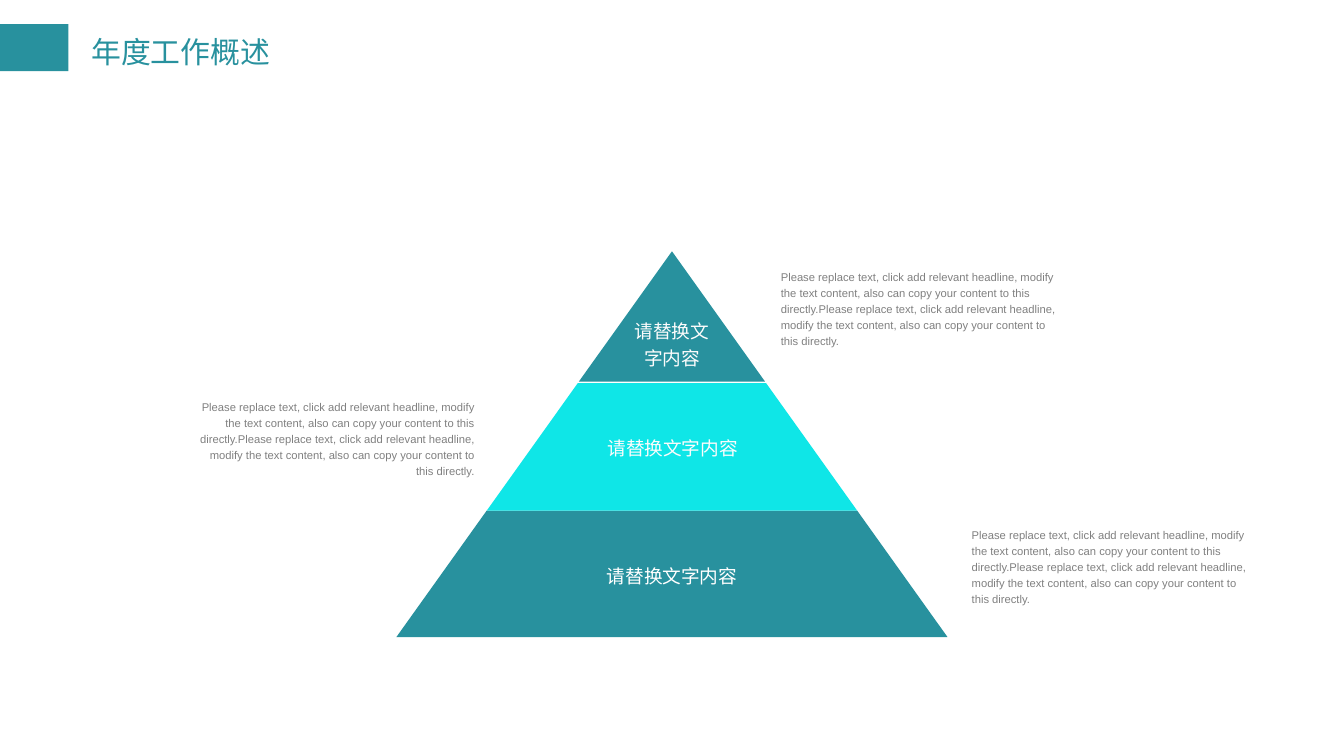
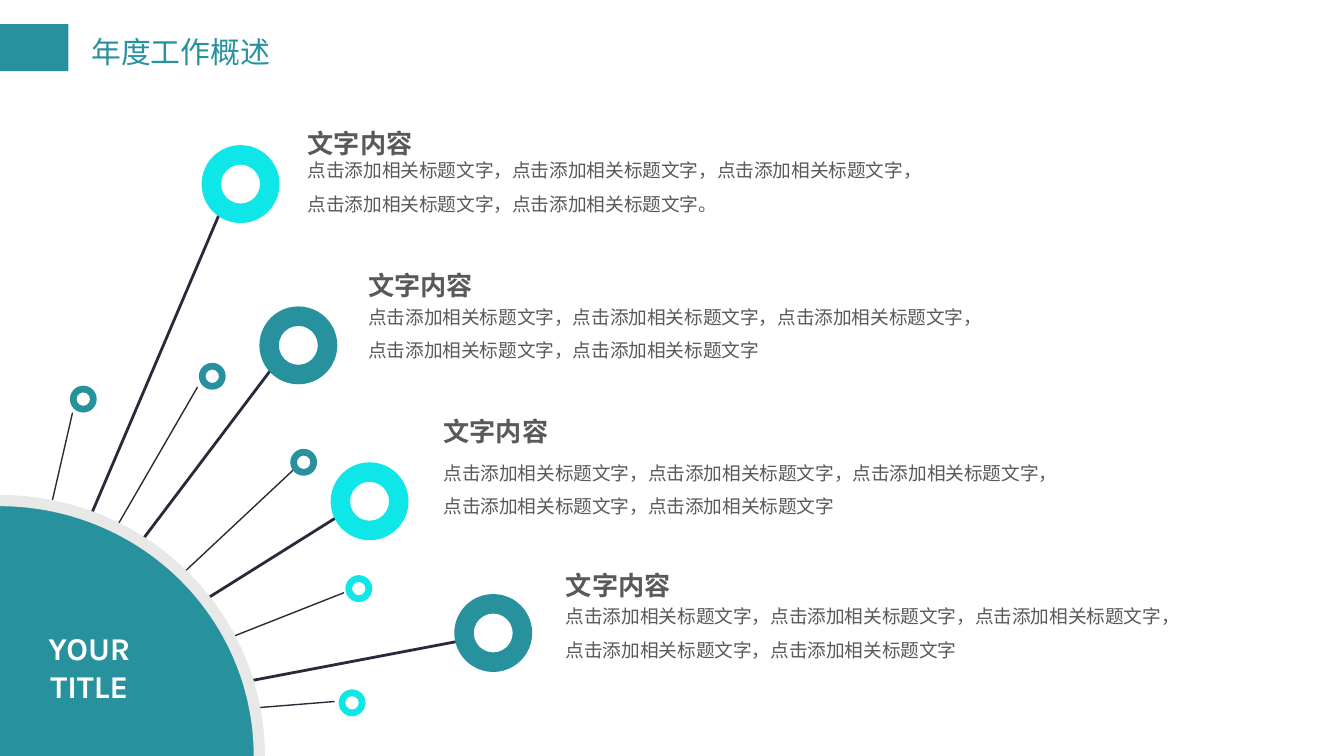
import math

from lxml import etree
from pptx import Presentation
from pptx.dml import color
from pptx.enum import shapes, text
from pptx.oxml import ns
from pptx.util import Inches, Pt

TEAL, CYAN, WHITE = "28919E", "0FE6E7", "FFFFFF"
INK, RIM, GREY, DARK, PALE = "2B2939", "E8E8E6", "808080", "595959", "FCFCFC"
CJK = "Noto Sans CJK SC"
LEFT, CENTER, RIGHT = text.PP_ALIGN.LEFT, text.PP_ALIGN.CENTER, text.PP_ALIGN.RIGHT
TOP, MIDDLE = text.MSO_ANCHOR.TOP, text.MSO_ANCHOR.MIDDLE
PRESET = shapes.MSO_SHAPE

WIDTH = 10
HEIGHT = WIDTH * 9 / 16
SLIDE_TITLE = "年度工作概述"
ENGLISH_NOTE = ("Please replace text, click add relevant headline, modify the text content, "
                "also can copy your content to this directly.") * 2
TIER_LABEL = "请替换文字内容"
TOPIC_HEADING = "文字内容"
TOPIC_DETAIL = "，".join(["点击添加相关标题文字"] * 5)


def rgb(value):
    return color.RGBColor.from_string(value)


def inches(*lengths):
    return [Inches(length) for length in lengths]


def write(frame, content, *, size, ink, font="Arial", bold=False, align=LEFT,
          anchor=TOP, spacing=None, insets=(0, 0), wrap=True):
    frame.word_wrap = wrap
    frame.auto_size = text.MSO_AUTO_SIZE.NONE
    frame.vertical_anchor = anchor
    frame.margin_left = frame.margin_right = Inches(insets[0])
    frame.margin_top = frame.margin_bottom = Inches(insets[1])
    paragraph = frame.paragraphs[0]
    paragraph.alignment = align
    if spacing:
        paragraph.line_spacing = spacing
    run = paragraph.add_run()
    run.text = content
    run.font.size = Pt(size)
    run.font.bold = bold
    run.font.color.rgb = rgb(ink)
    run.font.name = font
    east_asian = etree.SubElement(run._r.get_or_add_rPr(), ns.qn("a:ea"))
    east_asian.set("typeface", CJK)


def add_text(slide, box, content, **style):
    write(slide.shapes.add_textbox(*inches(*box)).text_frame, content, **style)


def paint(shape, fill=None, line=None, weight=1):
    shape.shadow.inherit = False
    if fill:
        shape.fill.solid()
        shape.fill.fore_color.rgb = rgb(fill)
    else:
        shape.fill.background()
    if line:
        shape.line.color.rgb = rgb(line)
        shape.line.width = Pt(weight)
    else:
        shape.line.fill.background()


def add_preset(slide, preset, box, fill, adjustment=None):
    shape = slide.shapes.add_shape(preset, *inches(*box))
    if adjustment is not None:
        shape.adjustments[0] = adjustment
    paint(shape, fill)


def add_outline(slide, points, closed, **look):
    start, *rest = [inches(*point) for point in points]
    builder = slide.shapes.build_freeform(*start)
    builder.add_line_segments(rest, close=closed)
    paint(builder.convert_to_shape(), **look)


def add_spoke(slide, start, end, weight):
    spoke = slide.shapes.add_connector(
        shapes.MSO_CONNECTOR.STRAIGHT, *inches(*start, *end))
    spoke.line.color.rgb = rgb(INK)
    spoke.line.width = Pt(weight)
    etree.SubElement(spoke._element.spPr, ns.qn("a:effectLst"))


def add_ring(slide, center, diameter, fill):
    x, y = center
    box = (x - diameter / 2, y - diameter / 2, diameter, diameter)
    add_preset(slide, PRESET.DONUT, box, fill, 0.25)


def add_titled_slide(deck):
    slide = deck.slides.add_slide(deck.slide_layouts[5])
    title = slide.shapes.title
    title.left, title.top, title.width, title.height = inches(0.6, 0.21, 1.5, 0.35)
    write(title.text_frame, SLIDE_TITLE, size=16, ink=TEAL, font=CJK,
          insets=(0.08, 0.04), wrap=False)
    add_preset(slide, PRESET.RECTANGLE, (0, 0.18, 0.51, 0.35), TEAL)
    return slide


def add_tier(slide, top, bottom, fill):
    apex, slope = 1.87, 2.05 / 2.87
    height = bottom - top
    half_base = slope * (bottom - apex)
    box = (WIDTH / 2 - half_base, top, 2 * half_base, height)
    if top == apex:
        add_preset(slide, PRESET.ISOSCELES_TRIANGLE, box, fill)
    else:
        inset = slope * height
        add_preset(slide, PRESET.TRAPEZOID, box, fill, inset / min(height, 2 * half_base))


def build_pyramid(slide):
    for top, bottom, fill in ((3.8, 4.74, TEAL), (2.85, 3.8, CYAN), (1.87, 2.84, TEAL)):
        add_tier(slide, top, bottom, fill)
    for box, ink in (((4.37, 4.18, 1.26, 0.18), WHITE),
                     ((4.67, 2.35, 0.66, 0.4), PALE),
                     ((4.47, 3.22, 1.07, 0.2), PALE)):
        add_text(slide, box, TIER_LABEL, size=10, ink=ink, align=CENTER,
                 anchor=MIDDLE, spacing=1.2)
    for left, top, align, anchor in ((5.81, 1.99, LEFT, TOP),
                                     (1.41, 2.95, RIGHT, MIDDLE),
                                     (7.23, 3.91, LEFT, TOP)):
        add_text(slide, (left, top, 2.12, 0.61), ENGLISH_NOTE, size=6, ink=GREY,
                 align=align, anchor=anchor, spacing=1.2)


def add_hub(slide):
    radius_x, radius_y, steps = 1.93, 1.9, 60
    angles = [math.pi / 2 * step / steps for step in range(steps + 1)]
    arc = [(radius_x * math.sin(a), HEIGHT - radius_y * math.cos(a)) for a in angles]
    add_outline(slide, arc + [(0, HEIGHT)], True, fill=TEAL)
    add_outline(slide, arc, False, line=RIM, weight=6)
    add_text(slide, (0.09, 4.63, 1.15, 0.67), "YOUR TITLE", size=17, ink=WHITE,
             font="Karla", bold=True, align=CENTER, insets=(0.1, 0.05))


def build_radial(slide):
    hub = (0, 5.42)
    minor = (
        ((2.49, 5.22), hub, (2.62, 5.23), CYAN),
        ((0.54, 3.07), hub, (0.62, 2.97), TEAL),
        ((1.47, 2.88), hub, (1.58, 2.8), TEAL),
        ((2.56, 4.41), hub, (2.67, 4.38), CYAN),
        ((2.19, 3.49), (0, 5.54), (2.26, 3.44), TEAL),
    )
    major = (
        ((1.65, 1.55), (1.79, 1.37), CYAN),
        ((2.04, 2.72), (2.22, 2.57), TEAL),
        ((2.52, 3.84), (2.75, 3.73), CYAN),
        ((3.42, 4.77), (3.67, 4.71), TEAL),
    )
    topics = (
        (2.22, 0.86, 1.06, 1.2, "。"),
        (2.67, 1.92, 2.15, 1.2, ""),
        (3.23, 3.05, 3.31, None, ""),
        (4.14, 4.15, 4.38, 1.2, ""),
    )
    for start, end, _, _ in minor:
        add_spoke(slide, start, end, 0.75)
    for start, _, _ in major:
        add_spoke(slide, start, hub, 1.5)
    for _, _, center, fill in minor:
        add_ring(slide, center, 0.2, fill)
    add_hub(slide)
    for _, center, fill in major:
        add_ring(slide, center, 0.58, fill)
    for left, heading_top, detail_top, spacing, ending in topics:
        add_text(slide, (left, detail_top, 4.63, 0.58), TOPIC_DETAIL + ending, size=10,
                 ink=DARK, font=CJK, spacing=1.5, insets=(0.07, 0.04))
        add_text(slide, (left, heading_top, 1.89, 0.36 if spacing else 0.31),
                 TOPIC_HEADING, size=14, ink=DARK, bold=True, spacing=spacing,
                 insets=(0.07, 0.04))


def main():
    deck = Presentation()
    deck.slide_width, deck.slide_height = inches(WIDTH, HEIGHT)
    build_pyramid(add_titled_slide(deck))
    build_radial(add_titled_slide(deck))
    deck.save("out.pptx")


if __name__ == "__main__":
    main()
